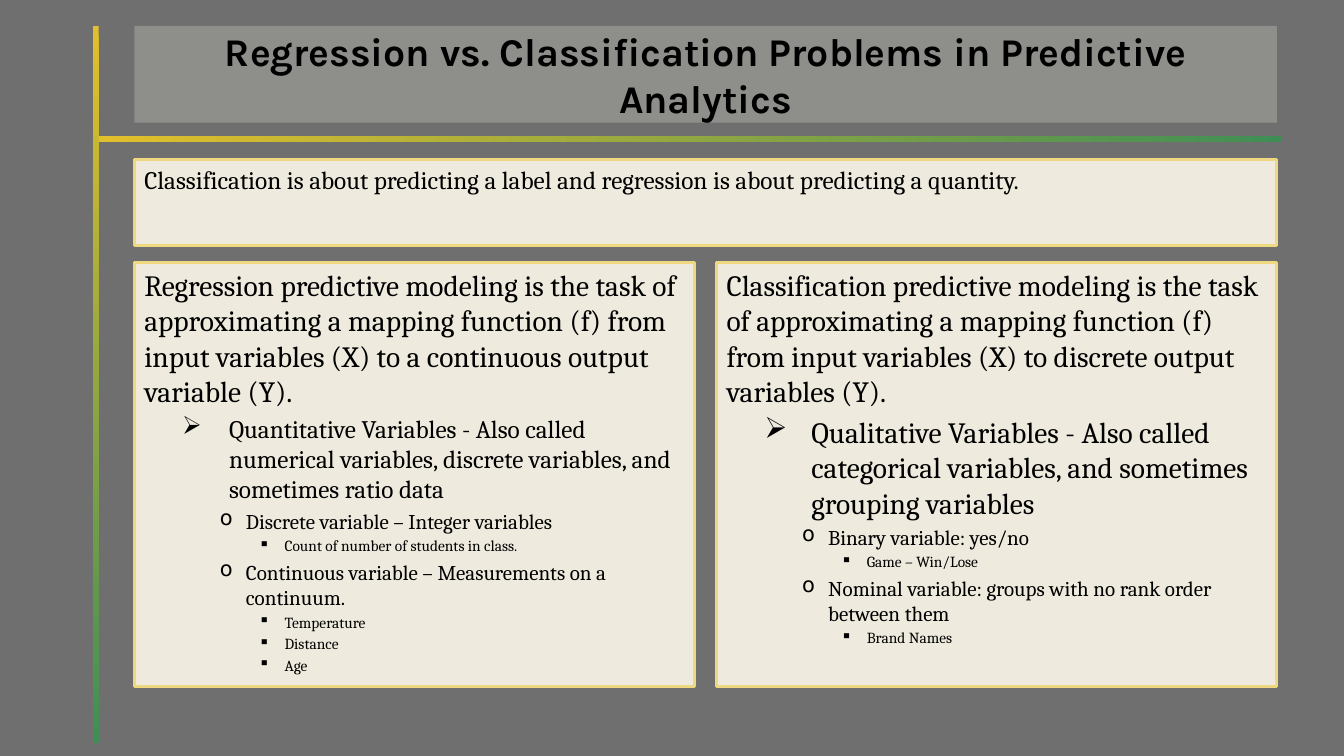
from dataclasses import dataclass

from lxml.etree import SubElement
from pptx import Presentation
from pptx.dml.color import RGBColor
from pptx.enum.shapes import MSO_SHAPE as Shape
from pptx.enum.text import MSO_ANCHOR as Anchor, PP_ALIGN as Align
from pptx.oxml.ns import qn
from pptx.util import Emu, Inches, Pt

CELL = Inches(1) // 12  # the slide is a grid of 160 columns by 90 rows
COLUMNS, ROWS = 160, 90


@dataclass(frozen=True)
class Theme:
    backdrop: str = "6F6F6F"
    panel: str = "EEEBDE"
    border: str = "EED980"
    ink: str = "000000"
    bar_start: str = "E2BF2C"
    bar_end: str = "408E56"
    title_opacity: int = 25
    title_font: str = "Karla"
    body_font: str = "Cambria"
    title_size: int = 28
    lead_size: int = 21
    topic_size: int = 18
    kind_size: int = 15
    example_size: int = 11
    border_width: float = 2.25
    space_share: float = 0.2


@dataclass(frozen=True)
class Area:
    """Left, top, width and height in grid cells."""
    column: float
    row: float
    columns: float
    rows: float


@dataclass(frozen=True)
class Bullet:
    symbol: str
    margin: float
    hanging: float


@dataclass(frozen=True)
class Item:
    text: str
    size: int
    level: int = 0


@dataclass(frozen=True)
class Panel:
    area: Area
    items: tuple[Item, ...]


@dataclass(frozen=True)
class Bar:
    area: Area
    angle: int


THEME = Theme()
BULLETS = {1: Bullet("➢", 10.1, 5.6), 2: Bullet("o", 12.1, 3.1), 3: Bullet("▪", 16.7, 3.1)}

LEFT, WIDTH, GUTTER = 16, 136, 2.64
HALF = (WIDTH - GUTTER) / 2
BAR = 0.7

TITLE = "Regression vs. Classification Problems in Predictive Analytics"
TITLE_AREA = Area(LEFT, 3.1, WIDTH, 11.5)
BARS = (
    Bar(Area(11.05, 3.1, BAR, 85.3), 270),
    Bar(Area(11.05 + BAR, 16.2, 140.9, BAR), 0),
)


def lead(text: str) -> Item:
    return Item(text, THEME.lead_size)


def topic(text: str, size: int = THEME.topic_size) -> Item:
    return Item(text, size, 1)


def kind(text: str) -> Item:
    return Item(text, THEME.kind_size, 2)


def example(text: str) -> Item:
    return Item(text, THEME.example_size, 3)


PANELS = (
    Panel(Area(LEFT, 31.2, HALF, 50.5), (
        lead("Regression predictive modeling is the task of approximating a mapping function (f) "
             "from input variables (X) to a continuous output variable (Y)."),
        topic("Quantitative Variables - Also called numerical variables, discrete variables, "
              "and sometimes ratio data"),
        kind("Discrete variable – Integer variables"),
        example("Count of number of students in class."),
        kind("Continuous variable – Measurements on a continuum."),
        example("Temperature"),
        example("Distance"),
        example("Age"),
    )),
    Panel(Area(LEFT + HALF + GUTTER, 31.2, HALF, 50.5), (
        lead("Classification predictive modeling is the task of approximating a mapping function (f) "
             "from input variables (X) to discrete output variables (Y)."),
        topic("Qualitative Variables - Also called categorical variables, "
              "and sometimes grouping variables", THEME.lead_size),
        kind("Binary variable: yes/no"),
        example("Game – Win/Lose"),
        kind("Nominal variable: groups with no rank order between them"),
        example("Brand Names"),
    )),
    Panel(Area(LEFT, 19, WIDTH, 10.2), (
        Item("Classification is about predicting a label and regression is about predicting a quantity.",
             THEME.topic_size),
    )),
)


def cells(count: float) -> Emu:
    return Emu(round(count * CELL))


def rgb(code: str) -> RGBColor:
    return RGBColor.from_string(code)


def add_rectangle(slide, area: Area):
    rectangle = slide.shapes.add_shape(
        Shape.RECTANGLE, cells(area.column), cells(area.row), cells(area.columns), cells(area.rows))
    rectangle.shadow.inherit = False
    rectangle.line.fill.background()
    return rectangle


def fill_panel(rectangle) -> None:
    rectangle.fill.solid()
    rectangle.fill.fore_color.rgb = rgb(THEME.panel)


def style_runs(paragraph, font: str, size: int, bold: bool = False) -> None:
    for run in paragraph.runs:
        run.font.name = font
        run.font.size = Pt(size)
        run.font.bold = bold
        run.font.color.rgb = rgb(THEME.ink)


def add_bar(slide, bar: Bar) -> None:
    fill = add_rectangle(slide, bar.area).fill
    fill.gradient()
    fill.gradient_angle = bar.angle
    for stop, code in zip(fill.gradient_stops, (THEME.bar_start, THEME.bar_end)):
        stop.color.rgb = rgb(code)


def add_title(slide) -> None:
    title = add_rectangle(slide, TITLE_AREA)
    fill_panel(title)
    color = title.fill._xPr.find(f"{qn('a:solidFill')}/{qn('a:srgbClr')}")
    SubElement(color, qn("a:alpha"), val=str(THEME.title_opacity * 1000))
    title.text_frame.text = TITLE
    title.text_frame.vertical_anchor = Anchor.MIDDLE
    heading = title.text_frame.paragraphs[0]
    heading.alignment = Align.CENTER
    style_runs(heading, THEME.title_font, THEME.title_size, bold=True)


def set_bullet(paragraph, bullet: Bullet) -> None:
    properties = paragraph._p.get_or_add_pPr()
    properties.set("marL", str(cells(bullet.margin)))
    properties.set("indent", str(-cells(bullet.hanging)))
    SubElement(properties, qn("a:buChar"), char=bullet.symbol)


def add_panel(slide, panel: Panel) -> None:
    rectangle = add_rectangle(slide, panel.area)
    fill_panel(rectangle)
    rectangle.line.color.rgb = rgb(THEME.border)
    rectangle.line.width = Pt(THEME.border_width)
    frame = rectangle.text_frame
    frame.vertical_anchor = Anchor.TOP
    frame.text = "\n".join(item.text for item in panel.items)
    for index, (paragraph, item) in enumerate(zip(frame.paragraphs, panel.items)):
        paragraph.alignment = Align.LEFT
        if item.level:
            paragraph.level = item.level
            set_bullet(paragraph, BULLETS[item.level])
        if index:
            paragraph.space_before = Pt(item.size * THEME.space_share)
        style_runs(paragraph, THEME.body_font, item.size)


def main() -> None:
    deck = Presentation()
    deck.slide_width, deck.slide_height = cells(COLUMNS), cells(ROWS)
    slide = deck.slides.add_slide(deck.slide_layouts[6])
    slide.background.fill.solid()
    slide.background.fill.fore_color.rgb = rgb(THEME.backdrop)
    for bar in BARS:
        add_bar(slide, bar)
    add_title(slide)
    for panel in PANELS:
        add_panel(slide, panel)
    deck.save("out.pptx")


if __name__ == "__main__":
    main()
